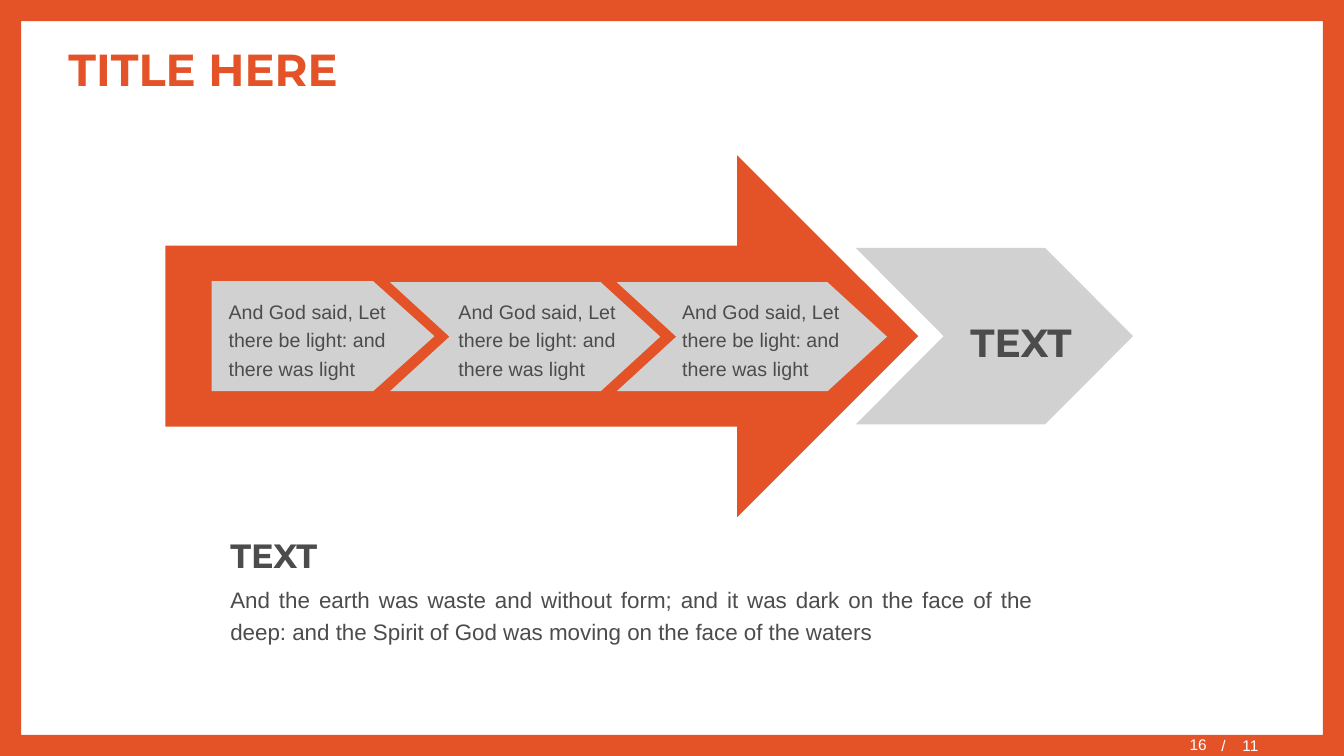
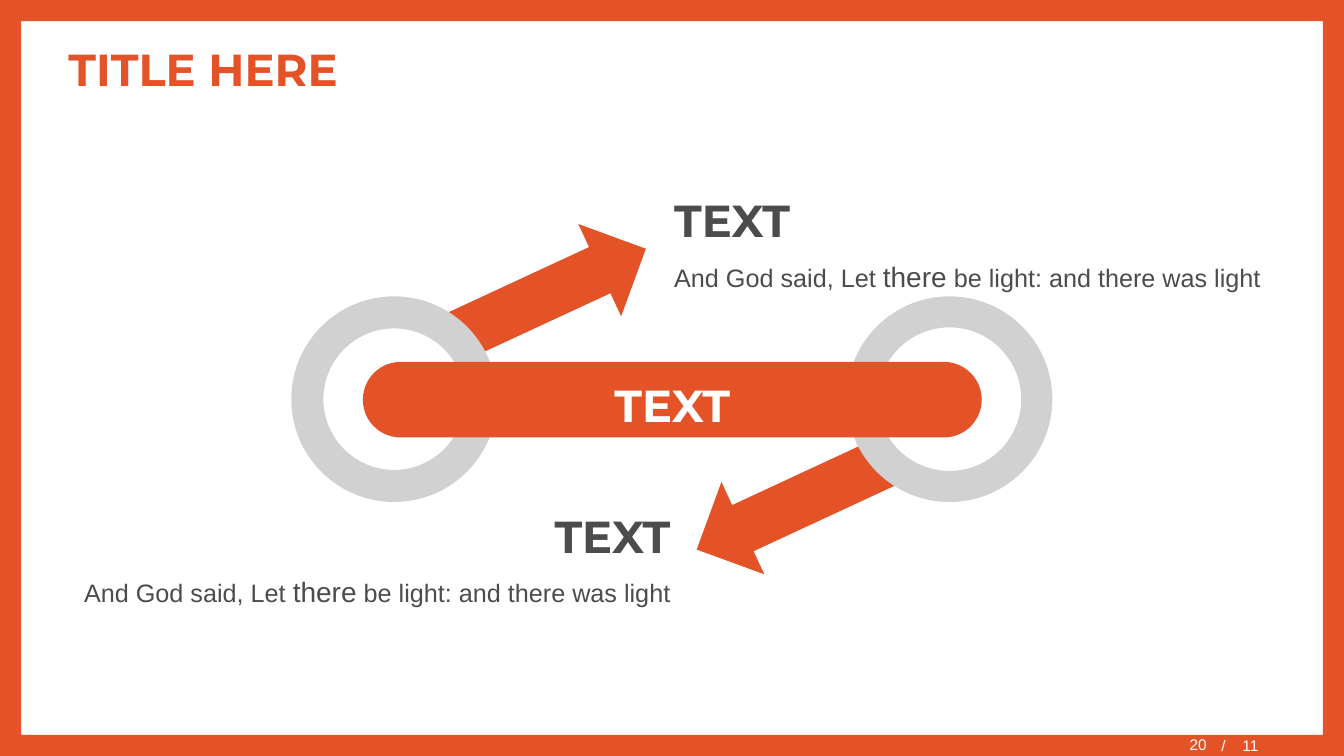
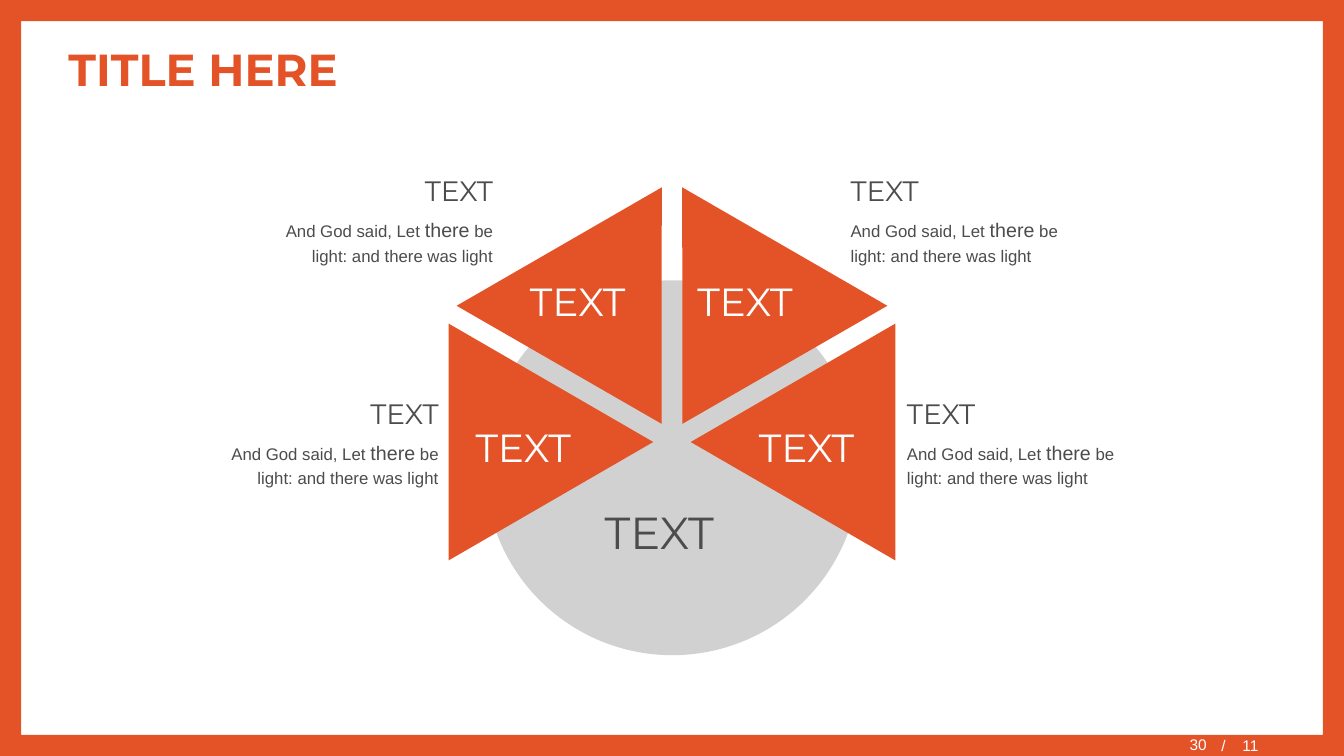
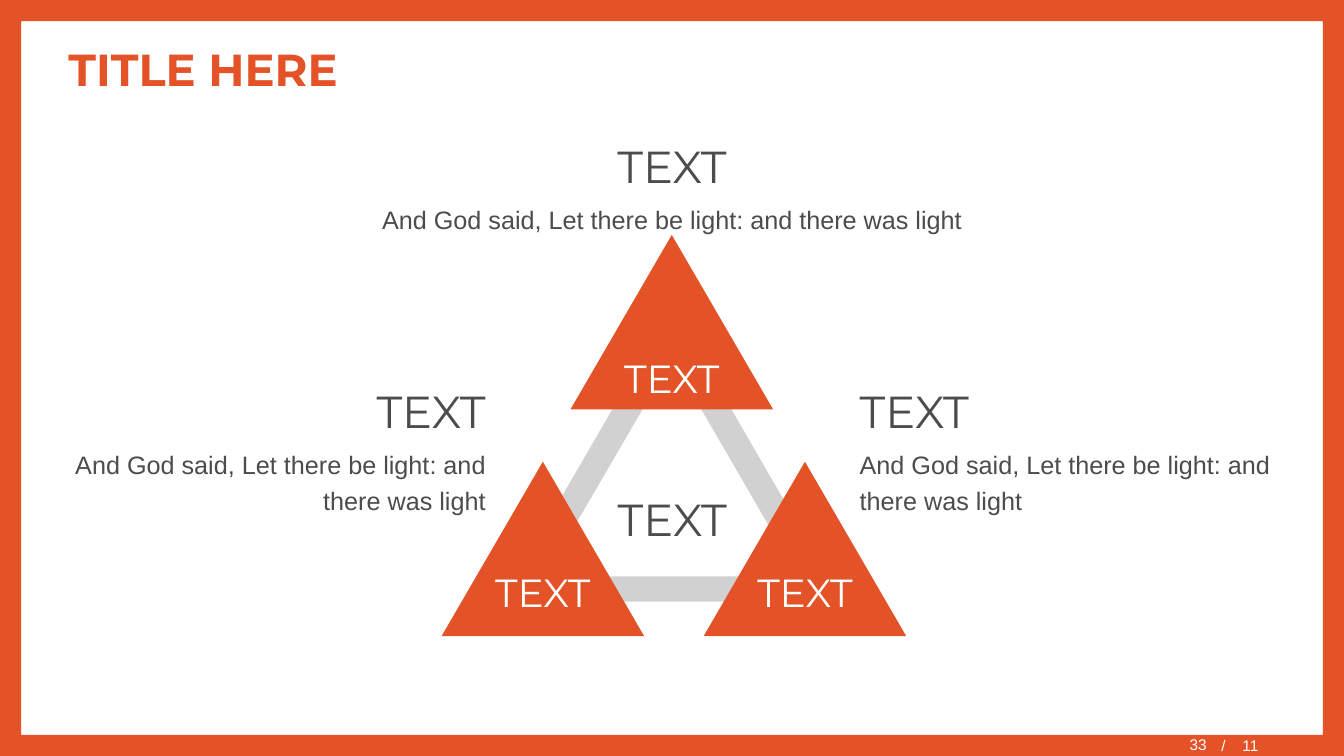
from lxml import etree
from pptx import Presentation
from pptx.dml.color import RGBColor
from pptx.enum import shapes, text
from pptx.oxml.ns import qn
from pptx.util import Pt

COLORS = {"accent": "E45327", "panel": "D1D1D1", "ink": "4C4C4C", "white": "FFFFFF"}
HEADING, BODY = "Montserrat", "Arial"
KIND = shapes.MSO_SHAPE
ALIGN = text.PP_ALIGN
MIDDLE = text.MSO_ANCHOR.MIDDLE
VERSE = "And God said, Let there be light: and there was light"


def add_shape(slide, kind, box, color, rotation=0, adjust=None):
    shape = slide.shapes.add_shape(kind, *map(Pt, box))
    shape.shadow.inherit = False
    shape.fill.solid()
    shape.fill.fore_color.rgb = RGBColor.from_string(COLORS[color])
    shape.line.fill.background()
    shape.rotation = rotation
    if adjust is not None:
        shape.adjustments[0] = adjust
    return shape


def write(target, paragraphs, color="ink", align=ALIGN.LEFT, bold=False,
          spacing=1.2, wrap=True):
    """Fill a shape with (font, [(text, size), ...]) paragraphs; bold affects headings."""
    frame = target.text_frame
    frame.word_wrap = wrap
    for index, (font, pieces) in enumerate(paragraphs):
        paragraph = frame.paragraphs[0] if index == 0 else frame.add_paragraph()
        paragraph.alignment = align
        paragraph.line_spacing = spacing
        paragraph.space_before = Pt(2 if index else 0)
        paragraph.space_after = Pt(2)
        for words, size in pieces:
            run = paragraph.add_run()
            run.text = words
            run.font.name = font
            run.font.size = Pt(size)
            run.font.bold = bold and font == HEADING
            run.font.color.rgb = RGBColor.from_string(COLORS[color])
    return frame


deck = Presentation()
deck.slide_width, deck.slide_height = Pt(960), Pt(540)

# Shared frame, title and page footer
pages = []
for number in ("16", "20", "30", "33"):
    page = deck.slides.add_slide(deck.slide_layouts[6])
    add_shape(page, KIND.FRAME, (0, 0, 960, 540), "accent", adjust=0.028)
    title = page.shapes.add_textbox(Pt(41.8), Pt(20.2), Pt(877), Pt(56.9))
    write(title, [(HEADING, [("TITLE HERE", 32)])], "accent", bold=True,
          spacing=1).vertical_anchor = MIDDLE

    total = page.shapes.add_textbox(Pt(865.4), Pt(525.6), Pt(94.3), Pt(13))
    total_frame = write(total, [(BODY, [("/\t11", 11)])], "white", spacing=1)
    total_frame.vertical_anchor = MIDDLE
    tabs = etree.SubElement(total_frame.paragraphs[0]._p.get_or_add_pPr(), qn("a:tabLst"))
    etree.SubElement(tabs, qn("a:tab"), pos=str(Pt(15)), algn="l")

    current = page.shapes.add_textbox(Pt(682.6), Pt(527), Pt(186.5), Pt(13))
    current_frame = write(current, [(BODY, [(number, 11)])], "white", ALIGN.RIGHT, spacing=1)
    current_frame.vertical_anchor = MIDDLE
    current_frame.margin_top = 0
    pages.append(page)
process, link, hexagon, triangle = pages

# Process arrow
add_shape(process, KIND.RIGHT_ARROW, (118.1, 110.9, 537.8, 258.5), "accent")
add_shape(process, KIND.PENTAGON, (151.2, 200.9, 159.1, 78.5), "panel", adjust=0.557)
for left in (440.6, 278.6):
    add_shape(process, KIND.CHEVRON, (left, 201.6, 193, 77.8), "panel", adjust=0.546)
for left, width in ((156.2, 150.5), (320.4, 150.5), (480.2, 129.6)):
    step = process.shapes.add_textbox(Pt(left), Pt(207.4), Pt(width), Pt(68.4))
    write(step, [(BODY, [(VERSE, 14)])])
add_shape(process, KIND.CHEVRON, (611.3, 177.1, 198, 126), "panel", adjust=0.498)
result = process.shapes.add_textbox(Pt(680.4), Pt(217.4), Pt(97.9), Pt(48.2))
write(result, [(HEADING, [("TEXT", 28)])], align=ALIGN.CENTER, bold=True, wrap=False)
summary = process.shapes.add_textbox(Pt(157.4), Pt(372.7), Pt(587.4), Pt(102))
write(summary, [
    (HEADING, [("TEXT", 24)]),
    (BODY, [("And the earth was waste and without form; and it was dark on the face of "
             "the deep: and the Spirit of God was moving on the face of the waters", 16)]),
], bold=True)
summary.text_frame.paragraphs[1].alignment = ALIGN.JUSTIFY

# Two linked rings
for left, top, rotation in ((356.4, 133.9, 65.1), (529.9, 285.1, 245.1)):
    add_shape(link, KIND.UP_ARROW, (left, top, 72.7, 151.2), "accent", rotation)
for left, thickness in ((208.1, 0.156), (604.8, 0.151)):
    add_shape(link, KIND.DONUT, (left, 211.7, 146.9, 146.9), "panel", adjust=thickness)
bar = add_shape(link, KIND.ROUNDED_RECTANGLE, (259.2, 258.5, 442.1, 54), "accent", adjust=0.5)
write(bar, [(HEADING, [("TEXT", 32)])], "white", ALIGN.CENTER,
      bold=True).vertical_anchor = MIDDLE
for left, top, align in ((474.5, 126.7, ALIGN.LEFT), (41.8, 352.1, ALIGN.RIGHT)):
    caption = link.shapes.add_textbox(Pt(left), Pt(top), Pt(444.2), Pt(87.1))
    write(caption, [
        (HEADING, [("TEXT", 32)]),
        (BODY, [("And God said, Let ", 18), ("there", 20),
                (" be light: and there was light", 18)]),
    ], align=align, bold=True)

# Hexagon of four wedges
add_shape(hexagon, KIND.OVAL, (346.3, 200.2, 267.8, 267.8), "panel")
for left, top, rotation in ((308.9, 242.6, 90), (481.9, 242.6, 270),
                            (439.4, 166.3, 210), (351.4, 166.3, 150)):
    add_shape(hexagon, KIND.ISOSCELES_TRIANGLE, (left, top, 169.2, 146.2), "accent", rotation)
base = hexagon.shapes.add_textbox(Pt(424.8), Pt(349.2), Pt(109.4), Pt(54))
write(base, [(HEADING, [("TEXT", 32)])], wrap=False)
for left, top in ((371.5, 187.9), (491, 187.9), (332.6, 292.3), (535, 292.3)):
    wedge_label = hexagon.shapes.add_textbox(Pt(left), Pt(top), Pt(97.9), Pt(48.2))
    write(wedge_label, [(HEADING, [("TEXT", 28)])], "white", wrap=False)
for left, top, align in ((151.9, 275, ALIGN.RIGHT), (640.8, 275, ALIGN.LEFT),
                         (190.8, 115.9, ALIGN.RIGHT), (600.5, 115.9, ALIGN.LEFT)):
    caption = hexagon.shapes.add_textbox(Pt(left), Pt(top), Pt(168.5), Pt(81.4))
    write(caption, [
        (HEADING, [("TEXT", 20)]),
        (BODY, [("And God said, Let ", 12), ("there", 14),
                (" be light: and there was light", 12)]),
    ], align=align)

# Triangle of three corners
inner = [(480, 256.3), (389.5, 411.8), (570.2, 411.8)]
outer = [(480, 218.9), (601.9, 429.8), (357.8, 429.8)]
builder = triangle.shapes.build_freeform(Pt(inner[0][0]), Pt(inner[0][1]))
builder.add_line_segments([(Pt(x), Pt(y)) for x, y in inner[1:]])
builder.move_to(Pt(outer[0][0]), Pt(outer[0][1]))
builder.add_line_segments([(Pt(x), Pt(y)) for x, y in outer[1:]])
ring = builder.convert_to_shape()
ring.shadow.inherit = False
ring.fill.solid()
ring.fill.fore_color.rgb = RGBColor.from_string(COLORS["panel"])
ring.line.fill.background()

for left, top, label_drop in ((407.5, 167.8, 74.8), (315.4, 329.8, 66.2), (502.6, 329.8, 66.2)):
    add_shape(triangle, KIND.ISOSCELES_TRIANGLE, (left, top, 144.7, 124.6), "accent")
    corner_label = triangle.shapes.add_textbox(
        Pt(left + 23.4), Pt(top + label_drop), Pt(97.9), Pt(48.2))
    write(corner_label, [(HEADING, [("TEXT", 28)])], "white", ALIGN.CENTER, wrap=False)
center = triangle.shapes.add_textbox(Pt(425.5), Pt(339.8), Pt(109.4), Pt(54))
write(center, [(HEADING, [("TEXT", 32)])], align=ALIGN.CENTER, wrap=False)
for left, top, width, height, align in ((41.8, 262.8, 312.2, 110.2, ALIGN.RIGHT),
                                        (607, 262.8, 312.2, 110.2, ALIGN.LEFT),
                                        (255, 87.8, 450, 84.2, ALIGN.CENTER)):
    caption = triangle.shapes.add_textbox(Pt(left), Pt(top), Pt(width), Pt(height))
    write(caption, [(HEADING, [("TEXT", 32)]), (BODY, [(VERSE, 18)])], align=align)

deck.save("out.pptx")
